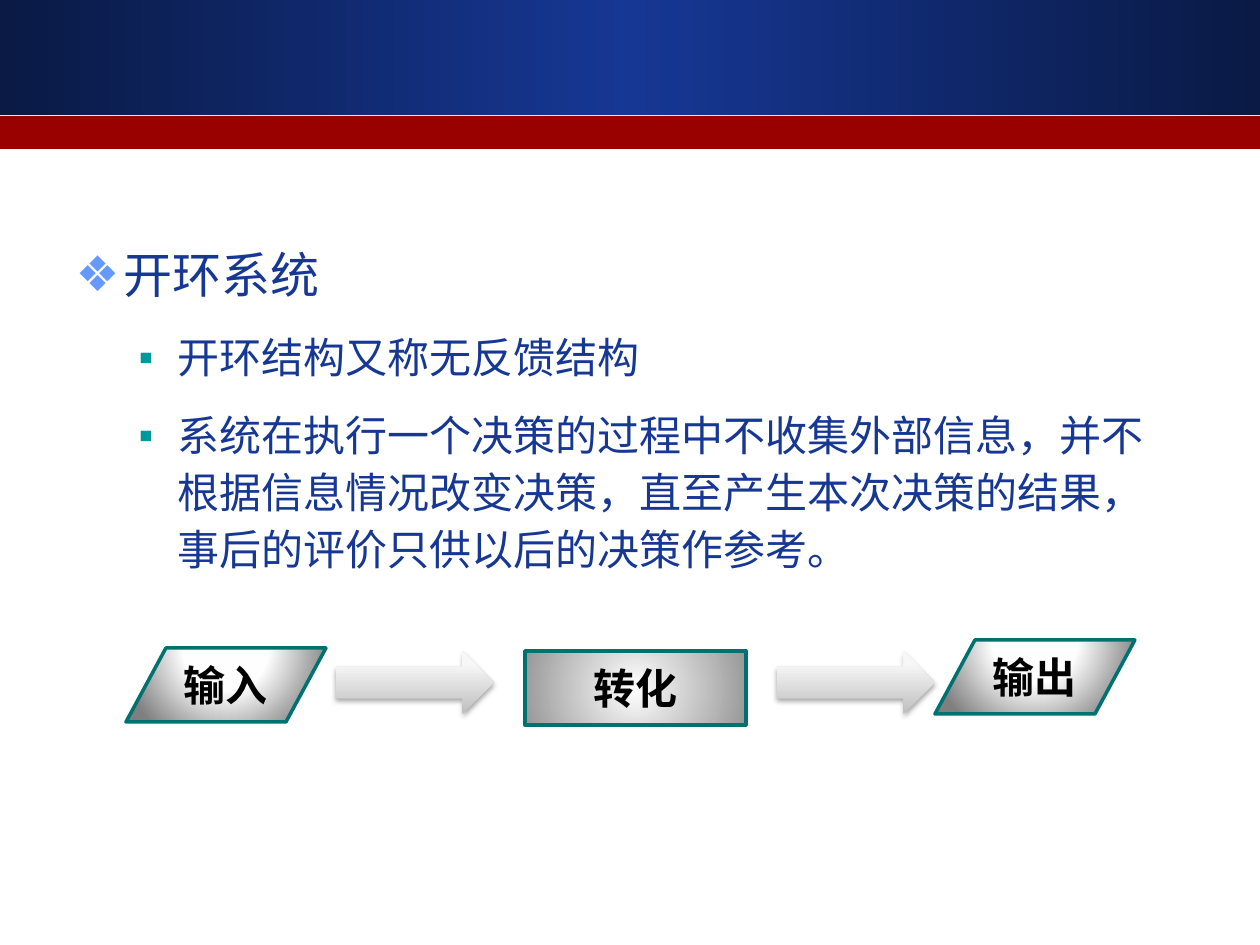
from lxml import etree
from pptx import Presentation
from pptx import util as u
from pptx.dml.color import RGBColor
from pptx.enum import shapes, text
from pptx.oxml.ns import qn

PX = 914400 / 126
FONT = "Arial"
COLORS = {
    "navy": "163794", "navy_edge": "0A1A45", "red": "990000",
    "diamond": "6699FF", "square": "009999", "outline": "007171",
    "label": "000000", "shadow": "000000",
}
STEEL = [(0, "FFFFFF"), (100, "979797")]
SILVER = [(0, "FFFFFF"), (40, "FEFEFE"), (100, "7F7F7F")]
ARROW = [(0, "BEBEBE"), (80, "F7F7F7"), (100, "F8F8F8")]
BANNER = [(0, COLORS["navy_edge"]), (50, COLORS["navy"]), (100, COLORS["navy_edge"])]

# Level: text size, left margin, hanging indent, bullet, bullet colour
LEVELS = [
    (28, 48, 48, "❖", "diamond"),
    (24, 102, 39, "▪", "square"),
]
POINTS = [
    (0, "开环系统"),
    (1, "开环结构又称无反馈结构"),
    (1, "系统在执行一个决策的过程中不收集外部信息，并不根据信息情况改变决策，"
        "直至产生本次决策的结果，事后的评价只供以后的决策作参考。"),
]


def px(length):
    return u.Emu(round(length * PX))


def rgb(name):
    return RGBColor.from_string(COLORS[name])


def add_child(parent, tag, **attributes):
    child = etree.SubElement(parent, qn(tag))
    for key, value in attributes.items():
        child.set(key, str(value))
    return child


def add_block(slide, kind, left, top, width, height):
    block = slide.shapes.add_shape(kind, *map(px, (left, top, width, height)))
    block.shadow.inherit = False
    block.line.fill.background()
    return block


def fill_gradient(block, stops, angle=0, focus=None):
    """Fill along an angle, or in circles around focus (l, t, r, b in percent)."""
    block.fill.gradient()
    gradient = block.fill._xPr.find(qn("a:gradFill"))
    for child in list(gradient):
        gradient.remove(child)
    stop_list = add_child(gradient, "a:gsLst")
    for position, color in stops:
        stop = add_child(stop_list, "a:gs", pos=position * 1000)
        add_child(stop, "a:srgbClr", val=color)
    if focus:
        circle = add_child(gradient, "a:path", path="circle")
        sides = {side: value * 1000 for side, value in zip("ltrb", focus)}
        add_child(circle, "a:fillToRect", **sides)
    else:
        add_child(gradient, "a:lin", ang=angle * 60000, scaled=0)


def add_run(paragraph, wording, size, color, bold=False):
    run = paragraph.add_run()
    run.text = wording
    run.font.name = FONT
    run.font.size = u.Pt(size)
    run.font.bold = bold
    run.font.color.rgb = rgb(color)


def add_header(slide):
    banner = add_block(slide, shapes.MSO_SHAPE.RECTANGLE, 0, 0, 1260, 115)
    fill_gradient(banner, BANNER)
    stripe = add_block(slide, shapes.MSO_SHAPE.RECTANGLE, 0, 116, 1260, 33)
    stripe.fill.solid()
    stripe.fill.fore_color.rgb = rgb("red")


def fill_body(body):
    body.left, body.top, body.width, body.height = map(px, (63, 231, 1134, 624))
    frame = body.text_frame
    frame.auto_size = text.MSO_AUTO_SIZE.NONE
    for index, (level, wording) in enumerate(POINTS):
        paragraph = frame.add_paragraph() if index else frame.paragraphs[0]
        size, margin, hanging, bullet, bullet_color = LEVELS[level]
        paragraph.level = level
        paragraph.line_spacing = 1.13
        paragraph.space_before = paragraph.space_after = u.Pt(6)
        properties = paragraph._p.get_or_add_pPr()
        properties.set("marL", str(px(margin)))
        properties.set("indent", str(-px(hanging)))
        color = add_child(properties, "a:buClr")
        add_child(color, "a:srgbClr", val=COLORS[bullet_color])
        add_child(properties, "a:buFont", typeface=FONT)
        add_child(properties, "a:buChar", char=bullet)
        add_run(paragraph, wording, size, "navy")


def add_stage(slide, kind, label, left, top, width, stops, focus):
    stage = add_block(slide, kind, left, top, width, 74)
    fill_gradient(stage, stops, focus=focus)
    stage.line.color.rgb = rgb("outline")
    stage.line.width = u.Pt(2)
    frame = stage.text_frame
    frame.vertical_anchor = text.MSO_ANCHOR.MIDDLE
    frame.paragraphs[0].alignment = text.PP_ALIGN.CENTER
    add_run(frame.paragraphs[0], label, 24, "label", bold=True)


def add_flow_arrow(slide, left):
    arrow = add_block(slide, shapes.MSO_SHAPE.RIGHT_ARROW, left, 651, 158, 63)
    fill_gradient(arrow, ARROW, angle=270)
    effects = arrow._element.spPr.find(qn("a:effectLst"))
    shadow = add_child(effects, "a:outerShdw", blurRad=u.Pt(3.1), dist=u.Pt(1.8),
                       dir=90 * 60000, rotWithShape=0)
    color = add_child(shadow, "a:srgbClr", val=COLORS["shadow"])
    add_child(color, "a:alpha", val=35000)


def main():
    deck = Presentation()
    deck.slide_width, deck.slide_height = px(1260), px(945)
    slide = deck.slides.add_slide(deck.slide_layouts[1])
    title = slide.shapes.title._element
    title.getparent().remove(title)

    add_header(slide)
    fill_body(slide.placeholders[1])
    add_stage(slide, shapes.MSO_SHAPE.RECTANGLE, "转化", 525, 651, 221,
              STEEL, (50, 50, 50, 50))
    for label, left, top in (("输入", 126, 648), ("输出", 935, 640)):
        add_stage(slide, shapes.MSO_SHAPE.FLOWCHART_DATA, label, left, top, 200,
                  SILVER, (50, -80, 50, 180))
    for left in (336, 777):
        add_flow_arrow(slide, left)
    deck.save("out.pptx")


if __name__ == "__main__":
    main()
